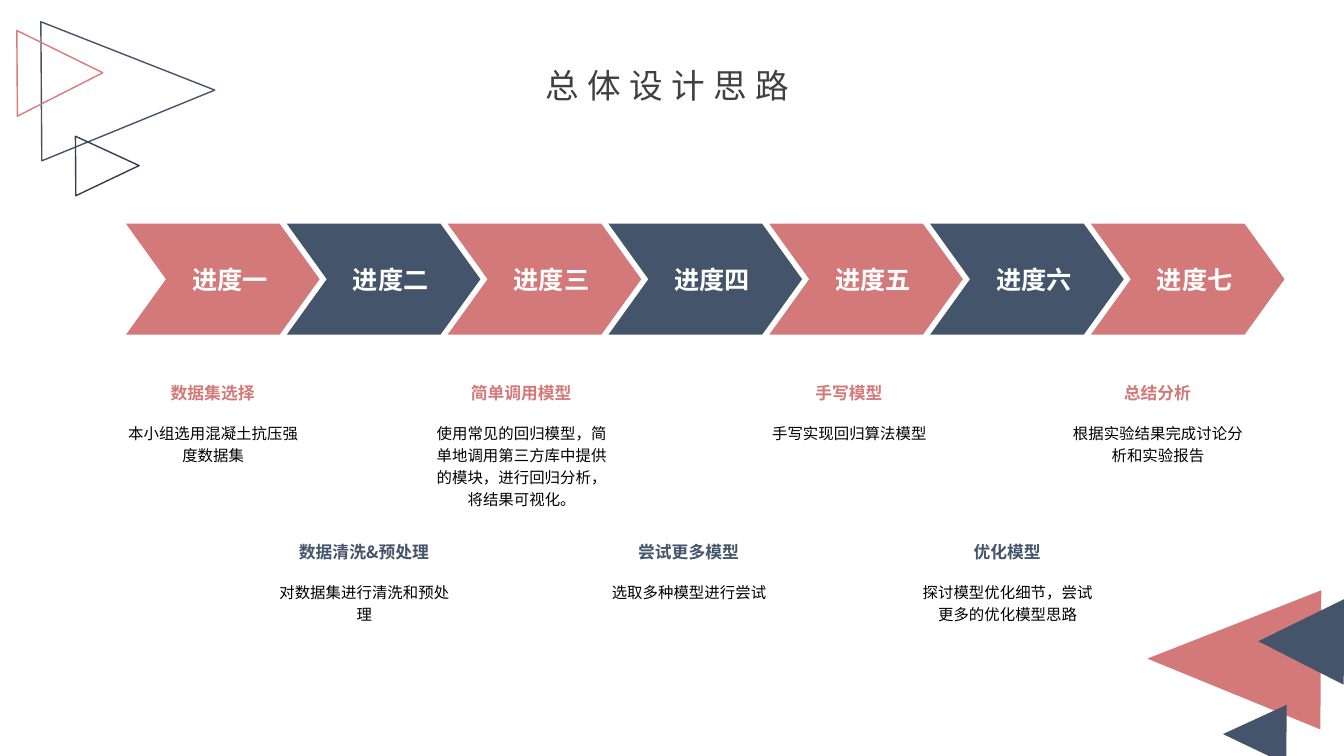
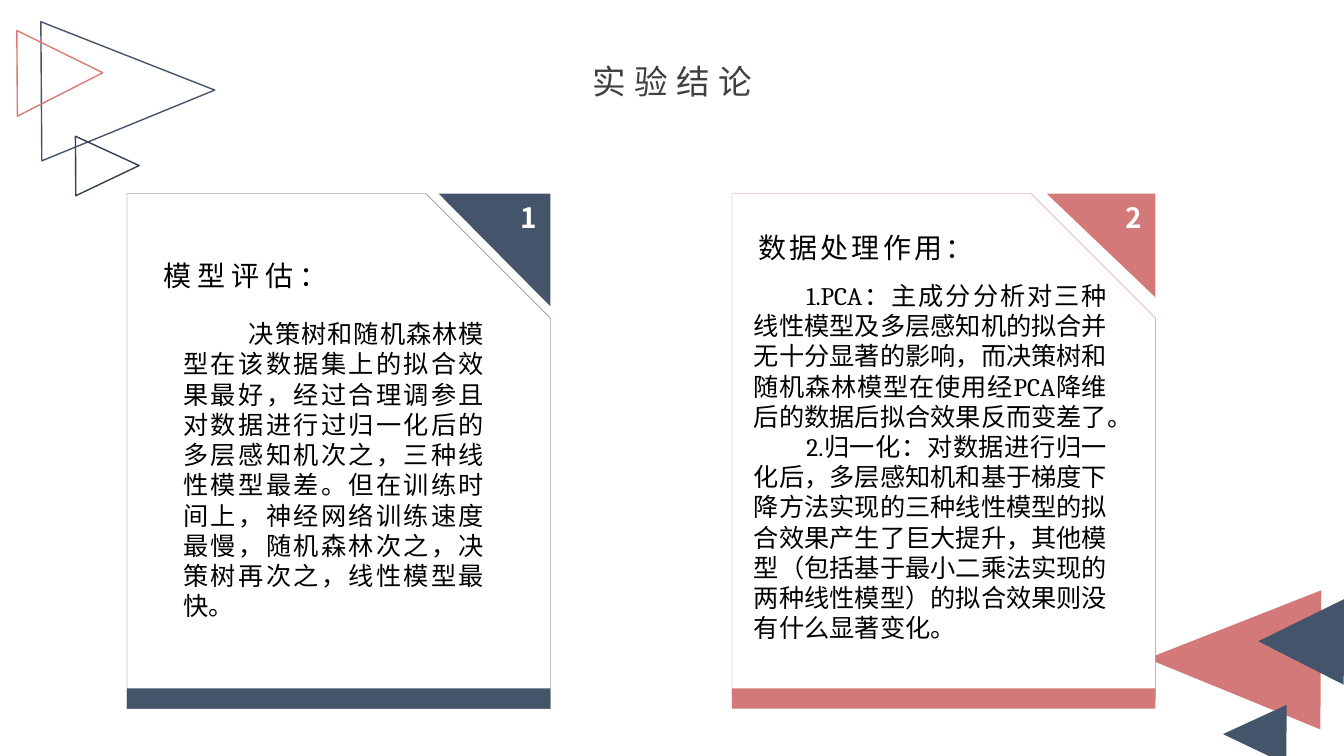
from pptx import Presentation
from pptx.dml.color import RGBColor
from pptx.enum.shapes import MSO_SHAPE
from pptx.enum.text import MSO_ANCHOR, MSO_AUTO_SIZE, PP_ALIGN
from pptx.oxml.ns import qn
from pptx.util import Inches, Pt
from lxml.etree import SubElement

HUE = {"rose": "D37979", "navy": "44546A", "dark": "333F50", "pink": "DD7979",
       "grey": "404040", "black": "000000", "white": "FFFFFF"}
SANS, SERIF = "Noto Sans CJK SC", "Cambria"

# left, top, width, height, turn, fill, line
DECOR = [
    (11.55, 5.68, 1.38, 1.72, 270.4, "rose", None),
    (12.15, 6.97, 0.59, 0.63, 270.4, "navy", None),
    (12.48, 5.94, 0.85, 0.85, 270.4, "navy", None),
    (0.58, 0.04, 1.38, 1.72, 89.6, None, "navy"),
    (0.77, 1.33, 0.59, 0.63, 89.6, None, "dark"),
    (0.17, 0.3, 0.85, 0.85, 89.6, None, "pink"),
]

# label, centre of the note, heading, note
STEPS = [
    ("进度一", 2.11, "数据集选择", "本小组选用混凝土抗压强度数据集"),
    ("进度二", 3.61, "数据清洗&预处理", "对数据集进行清洗和预处理"),
    ("进度三", 5.17, "简单调用模型",
     "使用常见的回归模型，简单地调用第三方库中提供的模块，进行回归分析，将结果可视化。"),
    ("进度四", 6.83, "尝试更多模型", "选取多种模型进行尝试"),
    ("进度五", 8.42, "手写模型", "手写实现回归算法模型"),
    ("进度六", 9.99, "优化模型", "探讨模型优化细节，尝试更多的优化模型思路"),
    ("进度七", 11.48, "总结分析", "根据实验结果完成讨论分析和实验报告"),
]

CARDS = [
    dict(num="1", hue="navy", left=1.26, corner=(1.11, 1.12), high=5.11,
         head="模型评估：", head_at=(1.52, 2.52, 1.55, 0.44), head_ind=0,
         body_at=(1.72, 3.11, 3.18, 3.13), ind=0.65, body=[
             "决策树和随机森林模型在该数据集上的拟合效果最好，经过合理调参且对数据进行过"
             "归一化后的多层感知机次之，三种线性模型最差。但在训练时间上，神经网络训练速度"
             "最慢，随机森林次之，决策树再次之，线性模型最快。"]),
    dict(num="2", hue="rose", left=7.26, corner=(1.08, 1.03), high=5.02,
         head="数据处理作用：", head_at=(7.13, 2.24, 2.35, 0.44), head_ind=0.29,
         body_at=(7.38, 2.73, 3.7, 3.74), ind=0.52, body=[
             "1.PCA：主成分分析对三种线性模型及多层感知机的拟合并无十分显著的影响，"
             "而决策树和随机森林模型在使用经PCA降维后的数据后拟合效果反而变差了。",
             "2.归一化：对数据进行归一化后，多层感知机和基于梯度下降方法实现的三种线性"
             "模型的拟合效果产生了巨大提升，其他模型（包括基于最小二乘法实现的两种线性"
             "模型）的拟合效果则没有什么显著变化。"]),
]


def rgb(hue):
    return RGBColor.from_string(HUE[hue])


def paint(shape, fill=None, line=None, width=1):
    shape.shadow.inherit = False
    if fill:
        shape.fill.solid()
        shape.fill.fore_color.rgb = rgb(fill)
    else:
        shape.fill.background()
    if line:
        shape.line.color.rgb = rgb(line)
        shape.line.width = Pt(width)
    else:
        shape.line.fill.background()


def draw(slide, kind, at, **look):
    shape = slide.shapes.add_shape(kind, *map(Inches, at))
    paint(shape, **look)
    return shape


def write(frame, texts, size, hue, face=SANS, bold=False, align=PP_ALIGN.CENTER,
          indent=0, space=None, spread=0):
    frame.word_wrap = True
    for i, text in enumerate(texts):
        para = frame.add_paragraph() if i else frame.paragraphs[0]
        para.alignment = align
        if space:
            para.line_spacing = space
        if indent:
            para._p.get_or_add_pPr().set("indent", str(Inches(indent)))
        run = para.add_run()
        run.text = text
        font = run.font
        font.size, font.bold, font.name = Pt(size), bold, face
        font.color.rgb = rgb(hue)
        props = run._r.get_or_add_rPr()
        if spread:
            props.set("spc", str(spread * 100))
        SubElement(props, qn("a:ea")).set("typeface", SANS)


def inset(frame, left, top, right, low):
    frame.margin_left, frame.margin_top = Inches(left), Inches(top)
    frame.margin_right, frame.margin_bottom = Inches(right), Inches(low)


def label(slide, at, texts, *args, **look):
    box = slide.shapes.add_textbox(*map(Inches, at))
    write(box.text_frame, texts, *args, **look)


def decorate(slide, layout):
    """Move the shared triangles to the layout."""
    for *at, turn, fill, line in DECOR:
        shape = draw(slide, MSO_SHAPE.ISOSCELES_TRIANGLE, at, fill=fill, line=line)
        shape.rotation = turn
        layout.shapes.element.append(shape.element)


def start(deck, text, at):
    slide = deck.slides.add_slide(deck.slide_layouts[5])
    title = slide.shapes.title
    title.left, title.top, title.width, title.height = map(Inches, at)
    frame = title.text_frame
    inset(frame, 0, 0, 0, 0)
    frame.auto_size = MSO_AUTO_SIZE.NONE
    frame.vertical_anchor = MSO_ANCHOR.MIDDLE
    write(frame, [text], 24, "grey", spread=6)
    return slide


def plan(slide):
    first, last, wide, high = 1.25, 10.82, 1.92, 1.1
    pitch = (last - first) / (len(STEPS) - 1)
    for i, (name, mid, head, note) in enumerate(STEPS):
        hue = ("rose", "navy")[i % 2]
        arrow = draw(slide, MSO_SHAPE.CHEVRON,
                     (first + i * pitch, 2.22, wide, high), fill=hue)
        arrow.adjustments[0] = 0.36
        frame = arrow.text_frame
        inset(frame, 0.14, 0, 0, 0)
        frame.vertical_anchor = MSO_ANCHOR.MIDDLE
        write(frame, [name], 18, "white", bold=True)
        top = (3.75, 5.33)[i % 2]
        label(slide, (mid - 0.78, top, 1.56, 0.3), [head], 12, hue, bold=True)
        label(slide, (mid - 0.96, top + 0.37, 1.93, 0.53), [note], 11, "black",
              space=1.2)


def flap(slide, right, top, size, num, hue):
    wide, high = size
    x, y = Inches(right), Inches(top)
    pen = slide.shapes.build_freeform(x, y)
    pen.add_line_segments([(x - Inches(wide), y), (x, y + Inches(high))])
    shape = pen.convert_to_shape()
    paint(shape, fill=hue)
    inset(shape.text_frame, 0.13, 0.07, 0.13, 0.07)
    shape.text_frame.vertical_anchor = MSO_ANCHOR.TOP
    write(shape.text_frame, [num], 20, "white", bold=True, align=PP_ALIGN.RIGHT)


def result(slide):
    top, wide, base = 1.92, 4.2, 7.03
    for card in CARDS:
        left, hue = card["left"], card["hue"]
        panel = draw(slide, MSO_SHAPE.SNIP_1_RECTANGLE,
                     (left, top, wide, card["high"]),
                     fill="white", line=hue, width=0.25)
        panel.adjustments[0] = 0.294
        draw(slide, MSO_SHAPE.RECTANGLE, (left, base - 0.2, wide, 0.2), fill=hue)
        flap(slide, left + wide, top, card["corner"], card["num"], hue)
        look = dict(face=SERIF, align=PP_ALIGN.JUSTIFY)
        label(slide, card["head_at"], [card["head"]], 20, "black",
              indent=card["head_ind"], **look)
        label(slide, card["body_at"], card["body"], 18, "black",
              indent=card["ind"], **look)


def main():
    deck = Presentation()
    deck.slide_width, deck.slide_height = Inches(13.33), Inches(7.5)
    first = start(deck, "总体设计思路", (4.57, 0.64, 4.09, 0.4))
    decorate(first, first.slide_layout)
    plan(first)
    result(start(deck, "实验结论", (4.1, 0.6, 5.13, 0.4)))
    deck.save("out.pptx")


if __name__ == "__main__":
    main()
